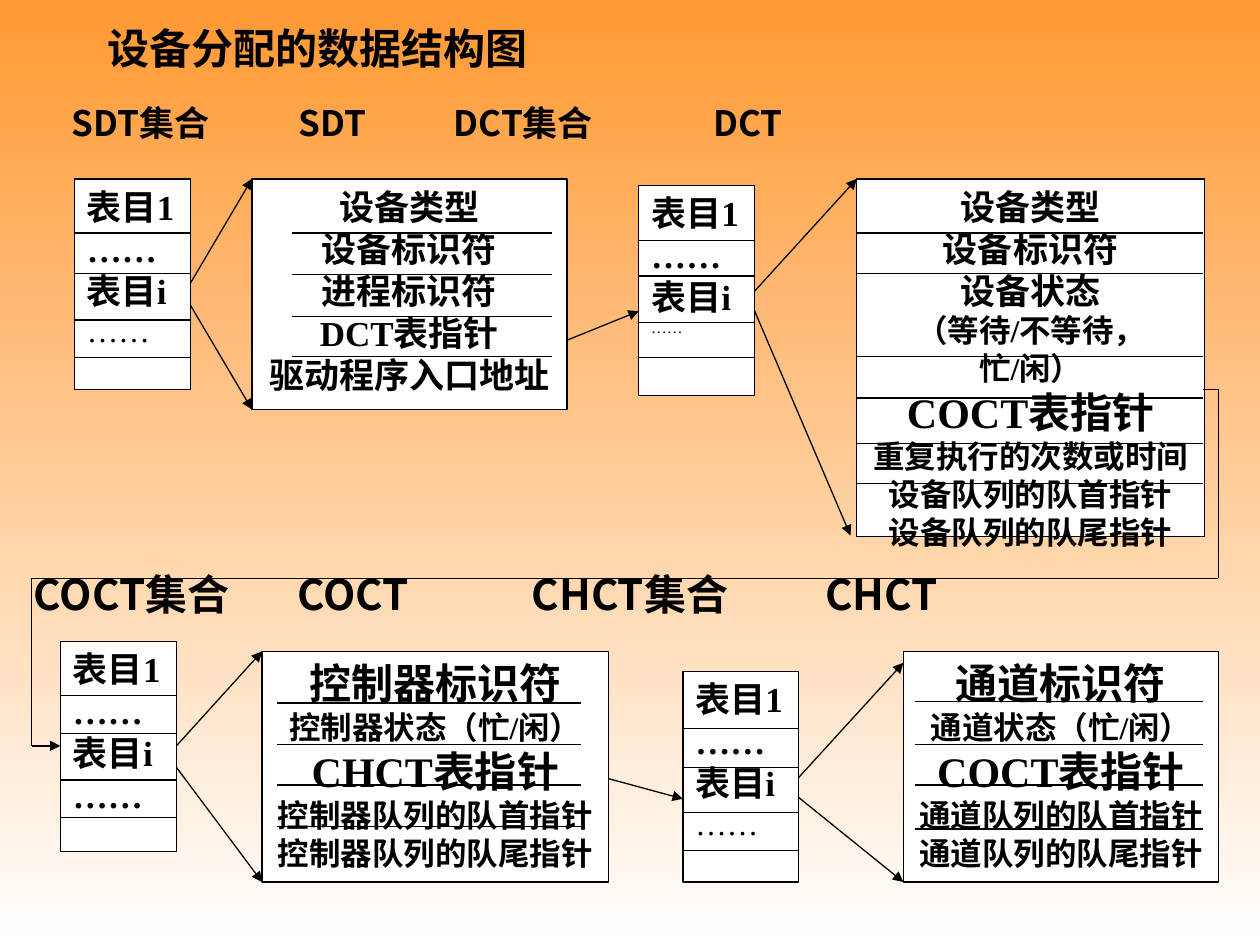
from dataclasses import dataclass
from itertools import pairwise

from lxml.etree import SubElement
from pptx import Presentation
from pptx.dml.color import RGBColor
from pptx.enum.shapes import MSO_CONNECTOR, MSO_SHAPE
from pptx.enum.text import MSO_ANCHOR, MSO_AUTO_SIZE, PP_ALIGN
from pptx.oxml.ns import qn
from pptx.util import Inches, Pt


@dataclass(frozen=True)
class Theme:
    ink: RGBColor = RGBColor(0, 0, 0)
    paper: RGBColor = RGBColor(255, 255, 255)
    glow: RGBColor = RGBColor(255, 153, 51)
    sans: str = "Noto Sans CJK SC"
    serif: str = "Times New Roman"
    large: int = 24
    mid: int = 20
    small: int = 18
    tiny: int = 9
    line: float = 0.75


THEME = Theme()
LARGE, MID, SMALL = THEME.large, THEME.mid, THEME.small

# Index lists: left, top, offsets of the rules, size and weight of the last row
LISTS = [
    (0.59, 1.42, (0.43, 0.75, 1.12, 1.42), SMALL, False),
    (5.07, 1.47, (0.44, 0.72, 1.09, 1.37), THEME.tiny, False),
    (0.48, 5.09, (0.43, 0.73, 1.1, 1.4), MID, True),
    (5.42, 5.33, (0.45, 0.76, 1.12, 1.42), SMALL, False),
]

# Control tables: frame, span of the rules, heights of the rules, rows
TABLES = [
    ((2, 1.42, 2.5, 1.83), (2.32, 4.38), (1.85, 2.18, 2.51, 2.83),
     [("设备类型", MID), ("设备标识符", MID), ("进程标识符", MID),
      ("DCT表指针", MID), ("驱动程序入口地址", MID)]),
    ((6.8, 1.42, 2.76, 2.84), (6.8, 9.55),
     (1.85, 2.17, 2.83, 3.16, 3.52, 3.84),
     [("设备类型", MID), ("设备标识符", MID), ("设备状态", MID),
      ("（等待/不等待，忙/闲）", SMALL), ("COCT表指针", LARGE),
      ("重复执行的次数或时间", SMALL), ("设备队列的队首指针", SMALL),
      ("设备队列的队尾指针", SMALL)]),
    ((2.08, 5.17, 2.75, 1.83), (2.2, 4.61), (5.58, 5.91, 6.23, 6.56),
     [("控制器标识符", LARGE), ("控制器状态（忙/闲）", SMALL),
      ("CHCT表指针", LARGE), ("控制器队列的队首指针", SMALL),
      ("控制器队列的队尾指针", SMALL)]),
    ((7.17, 5.17, 2.5, 1.83), (7.26, 9.55), (5.57, 5.91, 6.23, 6.58),
     [("通道标识符", LARGE), ("通道状态（忙/闲）", SMALL),
      ("COCT表指针", LARGE), ("通道队列的队首指针", SMALL),
      ("通道队列的队尾指针", SMALL)]),
]

ARROWS = [
    ((1.51, 2.25), (2, 1.42)), ((1.51, 2.42), (2, 3.25)),
    ((4.5, 2.7), (5.07, 2.47)),
    ((5.99, 2.31), (6.8, 1.42)), ((5.99, 2.47), (6.75, 4.25)),
    ((1.4, 5.92), (2.08, 5.17)), ((1.4, 6.09), (2.08, 7)),
    ((4.83, 6.18), (5.42, 6.34)),
    ((6.34, 6.17), (7.17, 5.26)), ((6.34, 6.33), (7.17, 7)),
]

# Path from the DCT back to the COCT list
ROUTE = [(9.55, 3.09), (9.67, 3.09), (9.67, 4.59),
         (0.25, 4.59), (0.25, 5.92), (0.48, 5.92)]

# Heading rows: middle height, size, and (left, text) of each heading
HEADS = [
    (0.97, MID, [(0.57, "SDT集合"), (2.37, "SDT"),
                 (3.6, "DCT集合"), (5.66, "DCT")]),
    (4.71, LARGE, [(0.27, "COCT集合"), (2.36, "COCT"),
                   (4.22, "CHCT集合"), (6.55, "CHCT")]),
]


def style(par, size, face, bold=True):
    for run in par.runs:
        font = run.font
        font.size, font.bold, font.name = Pt(size), bold, face
        font.color.rgb = THEME.ink
        SubElement(font._element, qn("a:ea"), typeface=THEME.sans)


def add_line(slide, start, end, arrow=False):
    ends = [Inches(n) for n in (*start, *end)]
    line = slide.shapes.add_connector(MSO_CONNECTOR.STRAIGHT, *ends)
    line.line.color.rgb = THEME.ink
    line.line.width = Pt(THEME.line)
    if arrow:
        SubElement(line.line._get_or_add_ln(), qn("a:tailEnd"),
                   type="triangle")
    SubElement(line._element.spPr, qn("a:effectLst"))


def add_box(slide, frame, rows, align):
    """Draw a white box with one paragraph for each (text, size, bold) row."""
    box = slide.shapes.add_shape(MSO_SHAPE.RECTANGLE,
                                 *[Inches(n) for n in frame])
    box.shadow.inherit = False
    box.fill.solid()
    box.fill.fore_color.rgb = THEME.paper
    box.line.color.rgb = THEME.ink
    box.line.width = Pt(THEME.line)
    body = box.text_frame
    body.word_wrap = True
    body.vertical_anchor = MSO_ANCHOR.TOP
    body.text = "\n".join(text for text, _, _ in rows)
    for par, (_, size, bold) in zip(body.paragraphs, rows):
        par.alignment = align
        par.line_spacing = Pt(round(size * 1.2, 1))
        style(par, size, THEME.serif, bold)


def add_rules(slide, left, right, tops):
    for top in tops:
        add_line(slide, (left, top), (right, top))


def add_list(slide, left, top, gaps, size, bold):
    width = 0.92
    rows = [("表目1", MID, True), ("……", MID, True),
            ("表目i", MID, True), ("……", size, bold)]
    add_box(slide, (left, top, width, 1.67), rows, PP_ALIGN.JUSTIFY)
    add_rules(slide, left, left + width, [top + gap for gap in gaps])


def add_table(slide, frame, span, tops, rows):
    rows = [(text, size, True) for text, size in rows]
    add_box(slide, frame, rows, PP_ALIGN.CENTER)
    add_rules(slide, *span, tops)


def add_heads(slide, mid, size, heads):
    """Set a row of headings in one box, spaced by tab stops."""
    left = heads[0][0]
    box = slide.shapes.add_textbox(Inches(left), Inches(mid - 0.25),
                                   Inches(9.5 - left), Inches(0.5))
    body = box.text_frame
    body.word_wrap = True
    body.margin_left = 0
    body.vertical_anchor = MSO_ANCHOR.MIDDLE
    par = body.paragraphs[0]
    par.text = "\t".join(text for _, text in heads)
    tabs = SubElement(par._p.get_or_add_pPr(), qn("a:tabLst"))
    for stop, _ in heads[1:]:
        SubElement(tabs, qn("a:tab"), pos=str(Inches(stop - left)), algn="l")
    style(par, size, THEME.sans)


def set_title(slide, text):
    title = slide.shapes.title
    title.left, title.top = Inches(0.75), Inches(0.25)
    title.width, title.height = Inches(8.5), Inches(0.25)
    body = title.text_frame
    body.text = text
    body.auto_size = MSO_AUTO_SIZE.NONE
    body.vertical_anchor = MSO_ANCHOR.MIDDLE
    body.paragraphs[0].alignment = PP_ALIGN.LEFT
    style(body.paragraphs[0], LARGE, THEME.sans)


def set_back(slide):
    fill = slide.background.fill
    fill.gradient()
    fill.gradient_angle = 270
    for stop, color in zip(fill.gradient_stops, (THEME.glow, THEME.paper)):
        stop.color.rgb = color


def main():
    deck = Presentation()
    deck.slide_width, deck.slide_height = Inches(10), Inches(7.5)
    slide = deck.slides.add_slide(deck.slide_layouts[5])
    set_back(slide)
    set_title(slide, "设备分配的数据结构图")
    for row in HEADS:
        add_heads(slide, *row)
    for item in LISTS:
        add_list(slide, *item)
    for item in TABLES:
        add_table(slide, *item)
    for start, end in ARROWS:
        add_line(slide, start, end, arrow=True)
    for start, end in pairwise(ROUTE):
        add_line(slide, start, end, arrow=end == ROUTE[-1])
    deck.save("out.pptx")


if __name__ == "__main__":
    main()
